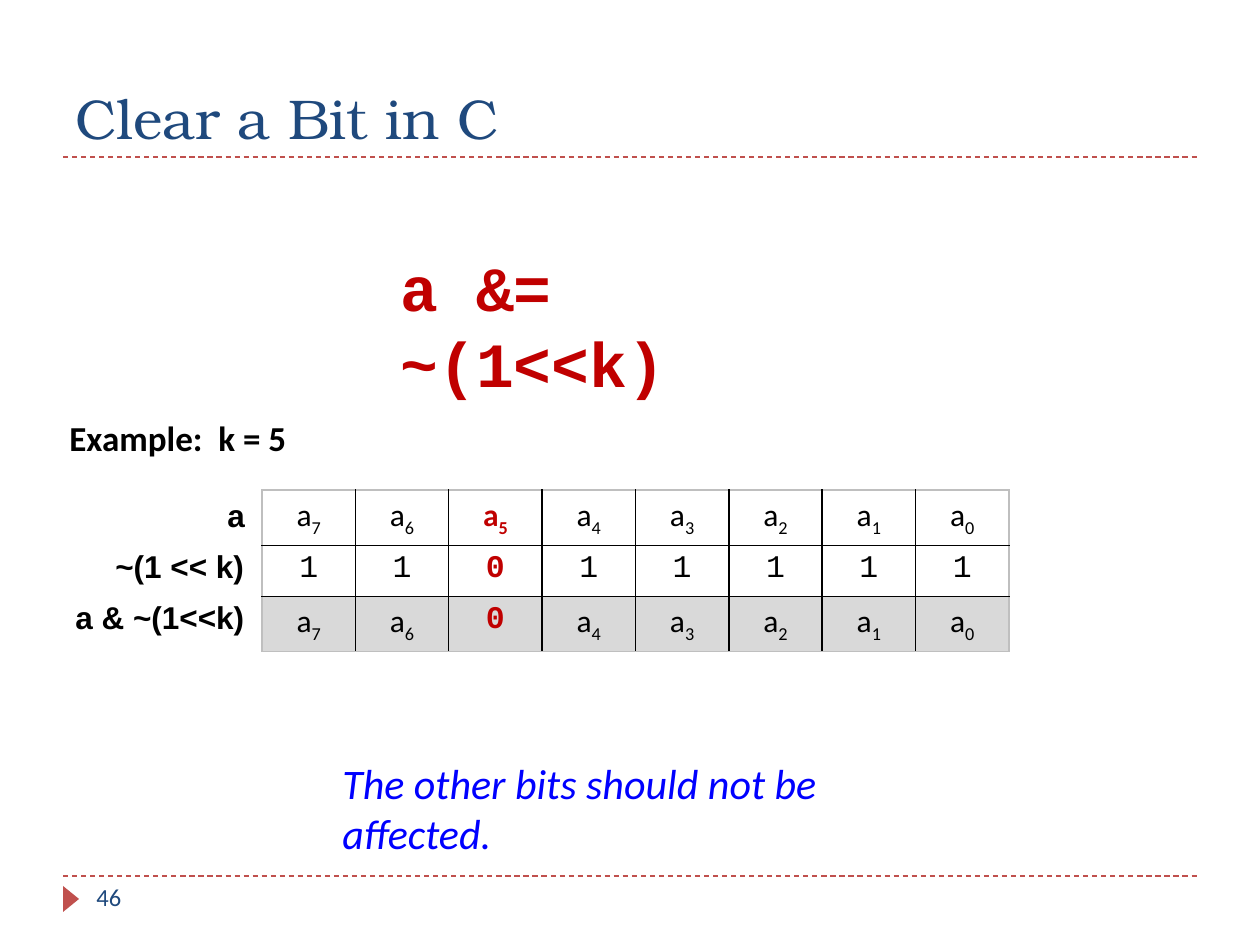
import dataclasses

import lxml.etree
import pptx
import pptx.dml.color
import pptx.enum.dml
import pptx.enum.shapes
import pptx.enum.text
import pptx.oxml.ns
import pptx.util

SCALE = 914400 / 126
HUES = {
    "navy": "1F497D",
    "brick": "C0504D",
    "red": "C00000",
    "blue": "0000FF",
    "black": "000000",
    "gray": "D9D9D9",
    "edge": "BFBFBF",
}
MONO = "Courier New"
SANS = "Calibri"
TOP = pptx.enum.text.MSO_ANCHOR.TOP
BOTTOM = pptx.enum.text.MSO_ANCHOR.BOTTOM


@dataclasses.dataclass
class Note:
    text: str
    left: int
    top: int
    width: int
    height: int
    font: str
    size: int
    hue: str
    bold: bool = False
    slant: bool = False
    anchor: object = TOP
    pitch: float = 0


@dataclasses.dataclass
class Row:
    bits: list[str]
    fill: str = ""


NOTES = [
    Note("Clear a Bit in C", 63, 21, 1134, 136, "TeX Gyre Bonum", 32, "navy", anchor=BOTTOM),
    Note("46", 84, 876, 273, 50, SANS, 14, "navy"),
    Note("a &= ~(1<<k)", 388, 242, 445, 89, MONO, 36, "red", bold=True, pitch=43.5),
    Note("Example:  k = 5", 57, 410, 273, 55, SANS, 20, "black", bold=True),
    Note("a", 215, 490, 43, 50, "Arial", 18, "black", bold=True),
    Note("~(1 << k)", 103, 541, 155, 50, "Arial", 18, "black", bold=True),
    Note("a & ~(1<<k)", 63, 592, 200, 50, "Arial", 18, "black", bold=True),
    Note("The other bits should not be affected.", 330, 751, 620, 63, SANS, 24, "blue", slant=True),
]
COUNT = 8
CLEAR = 5
PLACES = range(COUNT - 1, -1, -1)
ROWS = [
    Row([f"a{k}" for k in PLACES]),
    Row(["0" if k == CLEAR else "1" for k in PLACES]),
    Row(["0" if k == CLEAR else f"a{k}" for k in PLACES], "gray"),
]


def px(count: int) -> pptx.util.Emu:
    return pptx.util.Emu(round(count * SCALE))


def tint(name: str) -> pptx.dml.color.RGBColor:
    return pptx.dml.color.RGBColor.from_string(HUES[name])


def add_run(para, text: str, font: str, size: int, hue: str, bold: bool, slant: bool = False):
    run = para.add_run()
    run.text = text
    run.font.name = font
    run.font.size = pptx.util.Pt(size)
    run.font.bold = bold
    run.font.italic = slant
    run.font.color.rgb = tint(hue)
    return run


def add_note(slide, note: Note) -> None:
    box = slide.shapes.add_textbox(px(note.left), px(note.top), px(note.width), px(note.height))
    frame = box.text_frame
    frame.word_wrap = True
    frame.vertical_anchor = note.anchor
    para = frame.paragraphs[0]
    if note.pitch:
        para.line_spacing = pptx.util.Pt(note.pitch)
    add_run(para, note.text, note.font, note.size, note.hue, note.bold, note.slant)


def add_rule(slide, top: int) -> None:
    kind = pptx.enum.shapes.MSO_CONNECTOR.STRAIGHT
    rule = slide.shapes.add_connector(kind, px(63), px(top), px(1197), px(top))
    rule.line.color.rgb = tint("brick")
    rule.line.width = pptx.util.Pt(0.75)
    rule.line.dash_style = pptx.enum.dml.MSO_LINE.DASH
    lxml.etree.SubElement(rule._element.spPr, pptx.oxml.ns.qn("a:effectLst"))


def add_mark(slide) -> None:
    kind = pptx.enum.shapes.MSO_SHAPE.ISOSCELES_TRIANGLE
    mark = slide.shapes.add_shape(kind, px(58), px(891), px(26), px(16))
    mark.rotation = 90
    mark.shadow.inherit = False
    mark.fill.solid()
    mark.fill.fore_color.rgb = tint("brick")
    mark.line.fill.background()


def add_edge(cell, side: str, hue: str) -> None:
    qn = pptx.oxml.ns.qn
    props = cell._tc.get_or_add_tcPr()
    edge = lxml.etree.SubElement(props, qn(f"a:ln{side}"), w="12700")
    fill = lxml.etree.SubElement(edge, qn("a:solidFill"))
    lxml.etree.SubElement(fill, qn("a:srgbClr"), val=HUES[hue])


def fill_cell(cell, bit: str, shade: str, hot: bool, rims: dict[str, bool]) -> None:
    for side, rim in rims.items():
        add_edge(cell, side, "edge" if rim else "black")
    if shade:
        cell.fill.solid()
        cell.fill.fore_color.rgb = tint(shade)
    else:
        cell.fill.background()
    para = cell.text_frame.paragraphs[0]
    para.alignment = pptx.enum.text.PP_ALIGN.CENTER
    hue = "red" if hot else "black"
    font = SANS if bit[0] == "a" else MONO
    add_run(para, bit[0], font, 18, hue, hot)
    if bit[1:]:
        sub = add_run(para, bit[1:], font, 18, hue, hot)
        sub._r.get_or_add_rPr().set("baseline", "-25000")


def add_bits(slide, rows: list[Row]) -> None:
    last = len(rows) - 1
    frame = slide.shapes.add_table(len(rows), COUNT, px(262), px(490), px(747), px(153))
    table = frame.table
    table.first_row = False
    table.horz_banding = False
    for r, row in enumerate(rows):
        table.rows[r].height = px(51)
        for c, bit in enumerate(row.bits):
            rims = {"L": c == 0, "R": c == COUNT - 1, "T": r == 0, "B": r == last}
            fill_cell(table.cell(r, c), bit, row.fill, PLACES[c] == CLEAR, rims)


def main() -> None:
    deck = pptx.Presentation()
    deck.slide_width = px(1260)
    deck.slide_height = px(945)
    slide = deck.slides.add_slide(deck.slide_layouts[6])
    for top in (876, 157):
        add_rule(slide, top)
    add_mark(slide)
    add_bits(slide, ROWS)
    for note in NOTES:
        add_note(slide, note)
    deck.save("out.pptx")


if __name__ == "__main__":
    main()
